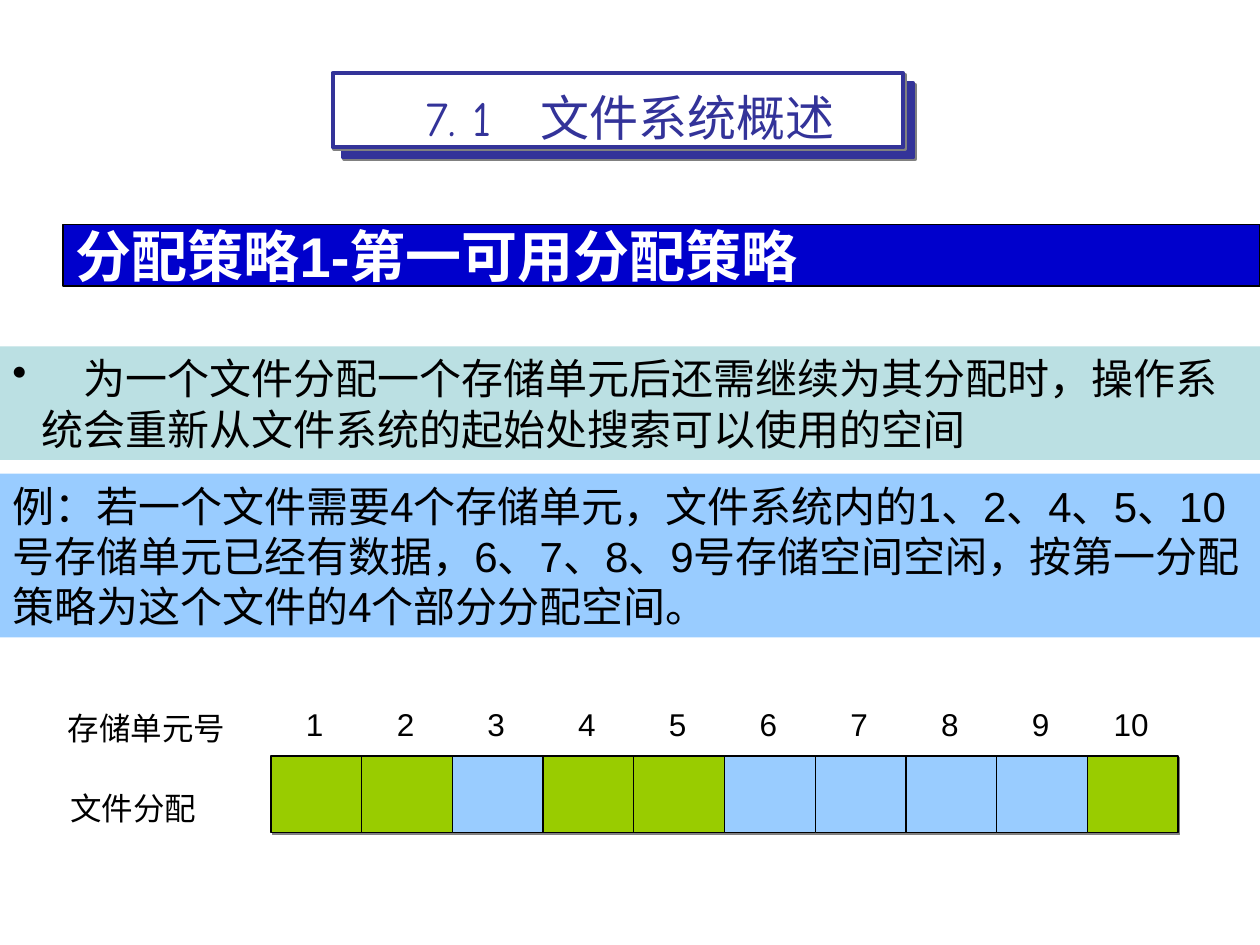
import pptx
import pptx.util
import pptx.dml.color
import pptx.enum.shapes
import pptx.enum.text
import pptx.oxml
import pptx.oxml.ns

Inches = pptx.util.Inches
Pt = pptx.util.Pt
ALIGN = pptx.enum.text.PP_ALIGN
ANCHOR = pptx.enum.text.MSO_ANCHOR
RECT = pptx.enum.shapes.MSO_SHAPE.RECTANGLE

TITLE = "7. 1　文件系统概述"
PANELS = [
    ((0.5, 1.78, 9.5, 0.49), "分配策略1-第一可用分配策略", "0000CC", "000000",
     {"size": Pt(32), "bold": True}, "FFFFFF"),
    ((0, 2.75, 10, 0.9),
     "　为一个文件分配一个存储单元后还需继续为其分配时，操作系统会重新从文件系统的起始处搜索可以使用的空间",
     "BBE0E3", None, {"size": Pt(24)}, "000000"),
    ((0, 3.76, 10, 1.3),
     "例：若一个文件需要4个存储单元，文件系统内的1、2、4、5、10号存储单元已经有数据，"
     "6、7、8、9号存储空间空闲，按第一分配策略为这个文件的4个部分分配空间。",
     "99CCFF", None, {"size": Pt(24)}, "000000"),
]
LABELS = [((0.44, 5.58, 1.45, 0.4), "存储单元号"),
          ((0.46, 6.21, 1.2, 0.4), "文件分配")]
UNITS = range(1, 11)
OCCUPIED = {1, 2, 4, 5, 10}
CELL_LEFT, CELL_TOP, CELL_W, CELL_H = 2.15, 6, 0.72, 0.61


def rgb(value):
    return pptx.dml.color.RGBColor.from_string(value)


def xml(text):
    return pptx.oxml.parse_xml(
        text.replace(" ", f" {pptx.oxml.ns.nsdecls('a')} ", 1))


def add_rect(shapes, box, fill, line=None, width=0.75, shadow=False):
    sp = shapes.add_shape(RECT, *map(Inches, box))
    sp.shadow.inherit = False
    sp.fill.solid()
    sp.fill.fore_color.rgb = rgb(fill)
    if line:
        sp.line.color.rgb = rgb(line)
        sp.line.width = Pt(width)
    else:
        sp.line.fill.background()
    if shadow:
        effects = sp.element.spPr.find(pptx.oxml.ns.qn("a:effectLst"))
        effects.append(xml(
            '<a:outerShdw dist="17780" dir="2700000" algn="ctr" rotWithShape="0">'
            '<a:srgbClr val="808080"/></a:outerShdw>'))
    return sp


def write(sp, text, font, color, align=ALIGN.LEFT, frame=None):
    tf = sp.text_frame
    for name, value in (frame or {}).items():
        setattr(tf, name, value)
    p = tf.paragraphs[0]
    p.alignment = align
    r = p.add_run()
    r.text = text
    for name, value in {"name": "Arial", **font}.items():
        setattr(r.font, name, value)
    r.font.color.rgb = rgb(color)
    return p


def add_label(s, box, text):
    sp = s.shapes.add_textbox(*map(Inches, box))
    return write(sp, text, {"size": Pt(18)}, "000000", frame={"word_wrap": False})


def add_title(s):
    group = s.shapes.add_group_shape()
    for left, top, fill in ((2.72, 0.66, "333399"), (2.64, 0.58, "FFFFFF")):
        add_rect(group.shapes, (left, top, 4.53, 0.59), fill, "333399", 2.25, True)
    title = s.shapes.title
    box = {"left": 0.5, "top": 0.3, "width": 9, "height": 1.25}
    for name, value in box.items():
        setattr(title, name, Inches(value))
    write(title, TITLE, {"name": "Comic Neue", "size": Pt(28)}, "333399",
          ALIGN.CENTER, {"vertical_anchor": ANCHOR.MIDDLE})
    group.element.addnext(title.element)


def add_panels(s):
    frame = {"word_wrap": True, "vertical_anchor": ANCHOR.MIDDLE,
             "margin_right": Inches(0.03)}
    paragraphs = [
        write(add_rect(s.shapes, box, fill, line), text, font, color, frame=frame)
        for box, text, fill, line, font, color in PANELS]
    pPr = paragraphs[1].runs[0].font and paragraphs[1]._p.get_or_add_pPr()
    pPr.set("marL", str(Inches(0.23)))
    pPr.set("indent", str(-Inches(0.23)))
    pPr.append(xml('<a:buClr ><a:srgbClr val="000000"/></a:buClr>'))
    pPr.append(xml('<a:buChar char="•"/>'))


def add_units(s):
    for i, unit in enumerate(UNITS):
        fill = "99CC00" if unit in OCCUPIED else "99CCFF"
        box = (CELL_LEFT + i * CELL_W, CELL_TOP, CELL_W, CELL_H)
        add_rect(s.shapes, box, fill, "000000", shadow=True)
    p = add_label(s, (2.33, 5.55, 6.94, 0.4), "\t".join(map(str, UNITS)))
    tabs = xml('<a:tabLst />')
    for i in range(1, len(UNITS)):
        pos = Inches(0.07 + i * CELL_W)
        tabs.append(xml(f'<a:tab pos="{pos}" algn="ctr"/>'))
    p._p.get_or_add_pPr().append(tabs)
    for box, text in LABELS:
        add_label(s, box, text)


def main():
    prs = pptx.Presentation()
    prs.slide_width, prs.slide_height = Inches(10), Inches(7.5)
    s = prs.slides.add_slide(prs.slide_layouts[5])
    add_title(s)
    add_panels(s)
    add_units(s)
    prs.save("out.pptx")


if __name__ == "__main__":
    main()
